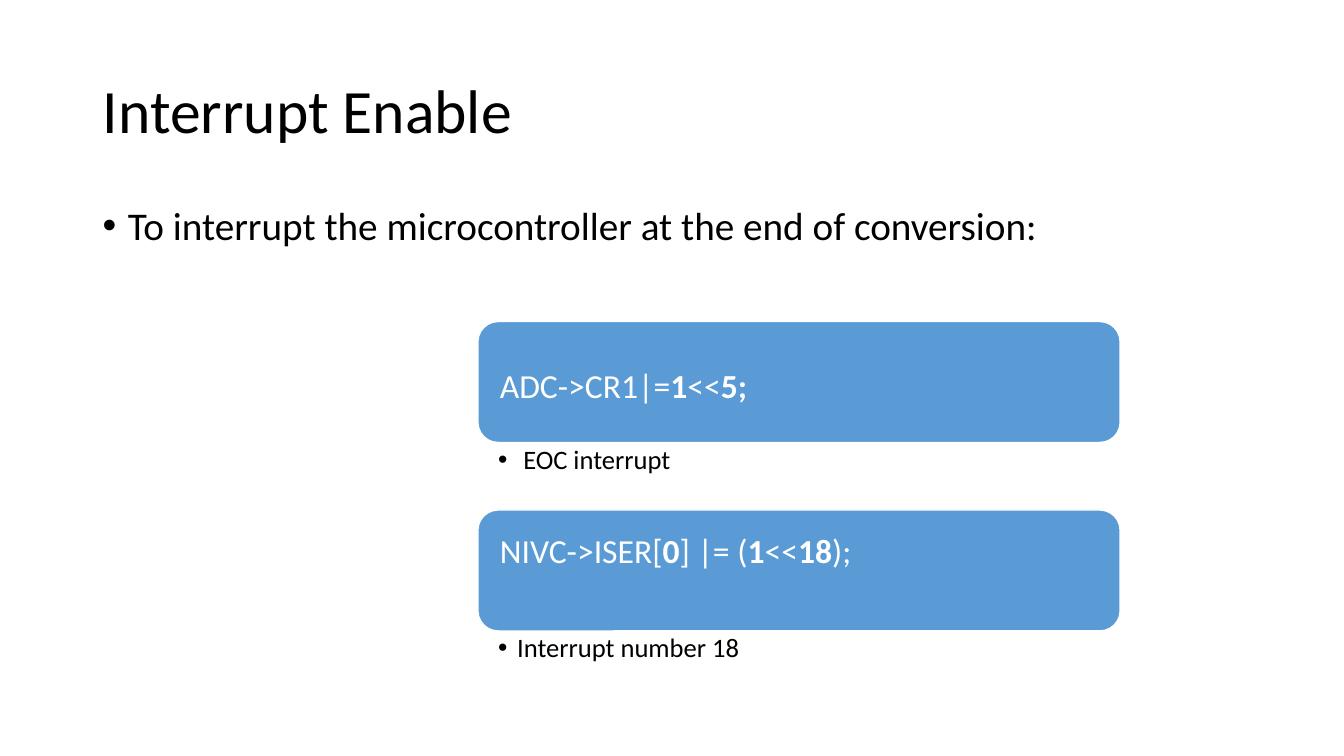
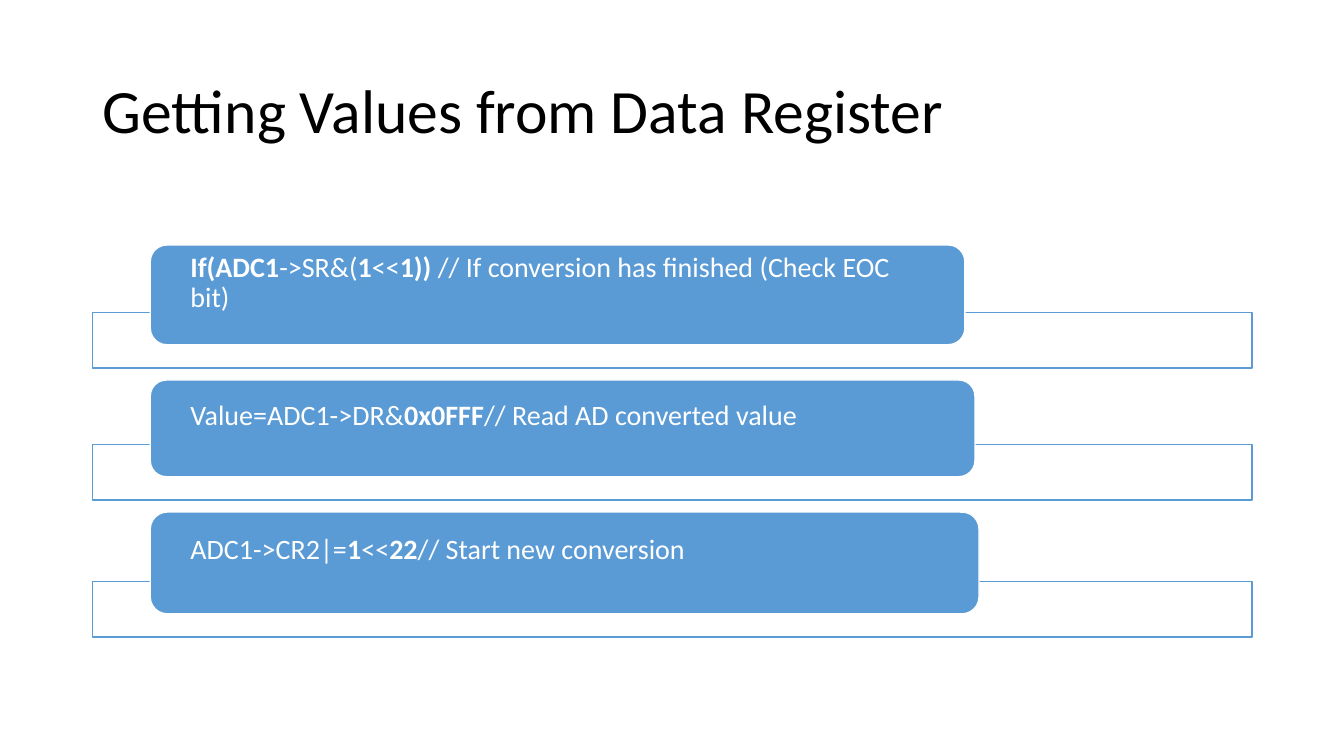
from pptx import Presentation
from pptx.dml.color import RGBColor
from pptx.enum.shapes import MSO_SHAPE
from pptx.enum.text import MSO_ANCHOR, MSO_AUTO_SIZE, PP_ALIGN
from pptx.util import Pt
from lxml import etree

PX = 9144  # 100 px to the inch
BLUE, WHITE, BLACK = "5B9BD5", "FFFFFF", "000000"
FONT = "Calibri"
NS = "{http://schemas.openxmlformats.org/drawingml/2006/main}"


def write(shape, runs, size, color, pad, anchor=MSO_ANCHOR.TOP, hang=0):
    """Fill a shape with one paragraph of (text, bold) runs."""
    frame = shape.text_frame
    frame.word_wrap = True
    frame.auto_size = MSO_AUTO_SIZE.NONE
    frame.vertical_anchor = anchor
    frame.margin_left, frame.margin_top = pad[0] * PX, pad[1] * PX
    frame.margin_right, frame.margin_bottom = pad[0] * PX, 0
    para = frame.paragraphs[0]
    para.alignment = PP_ALIGN.LEFT
    para.line_spacing = 0.9
    for text, bold in runs:
        run = para.add_run()
        run.text = text
        font = run.font
        font.name, font.size, font.bold = FONT, Pt(size), bold
        font.color.rgb = RGBColor.from_string(color)
    if hang:
        props = para._p.get_or_add_pPr()
        props.set("marL", str(hang * PX))
        props.set("indent", str(-hang * PX))
        etree.SubElement(props, NS + "buFont").set("typeface", "Arial")
        etree.SubElement(props, NS + "buChar").set("char", "•")
    return para


def block(slide, kind, area, fill, line):
    shape = slide.shapes.add_shape(kind, *[n * PX for n in area])
    shape.shadow.inherit = False
    shape.fill.solid()
    shape.fill.fore_color.rgb = RGBColor.from_string(fill)
    shape.line.color.rgb = RGBColor.from_string(line)
    shape.line.width = Pt(1)
    return shape


deck = Presentation()
deck.slide_width, deck.slide_height = 1333 * PX, 750 * PX

# Slides and titles
slides = []
for name in ("Interrupt Enable", "Getting Values from Data Register"):
    slide = deck.slides.add_slide(deck.slide_layouts[5])
    title = slide.shapes.title
    title.left, title.top = 92 * PX, 40 * PX
    title.width, title.height = 1150 * PX, 145 * PX
    write(title, [(name, False)], 44, BLACK, (10, 0), MSO_ANCHOR.MIDDLE)
    slides.append(slide)
enable, values = slides

# Lead sentence
lead = enable.shapes.add_textbox(92 * PX, 200 * PX, 1150 * PX, 70 * PX)
para = write(lead, [("To interrupt the microcontroller at the end of conversion:", False)],
             28, BLACK, (10, 5), hang=25)
para.space_before = Pt(10)

# Code boxes with a caption below: top, text inset, code, caption, hang
steps = [
    (319, 42, [("ADC->CR1|=", False), ("1", True), ("<<", False), ("5;", True)],
     "EOC interrupt", 25),
    (506, 18, [("NIVC->ISER[", False), ("0", True), ("] |= (", False), ("1", True),
               ("<<", False), ("18", True), (");", False)],
     "Interrupt number 18", 19),
]
for top, inset, code, note, hang in steps:
    box = block(enable, MSO_SHAPE.ROUNDED_RECTANGLE, (474, top, 637, 120), BLUE, WHITE)
    write(box, code, 24, WHITE, (16, inset))
    label = enable.shapes.add_textbox(474 * PX, (top + 121) * PX, 637 * PX, 43 * PX)
    write(label, [(note, False)], 19, BLACK, (20, 3), hang=hang)

# Code boxes over outlined bars: bar top, box top, width, height, text inset, code
rows = [
    (310, 243, 808, 99, 3,
     [("If(ADC1", True), ("->SR&(", False), ("1", True), ("<<", False), ("1)) ", True),
      ("// If conversion has finished (Check EOC bit)", False)]),
    (441, 377, 818, 96, 16,
     [("Value=ADC1->DR&", False), ("0x0FFF", True), ("// Read AD converted value", False)]),
    (577, 508, 822, 101, 18,
     [("ADC1->CR2|=", False), ("1", True), ("<<", False), ("22", True),
      ("// Start new conversion", False)]),
]
for low, top, width, height, inset, code in rows:
    block(values, MSO_SHAPE.RECTANGLE, (92, low, 1150, 55), WHITE, BLUE)
    box = block(values, MSO_SHAPE.ROUNDED_RECTANGLE, (149, top, width, height), BLUE, WHITE)
    write(box, code, 20, WHITE, (35, inset))

deck.save("out.pptx")
